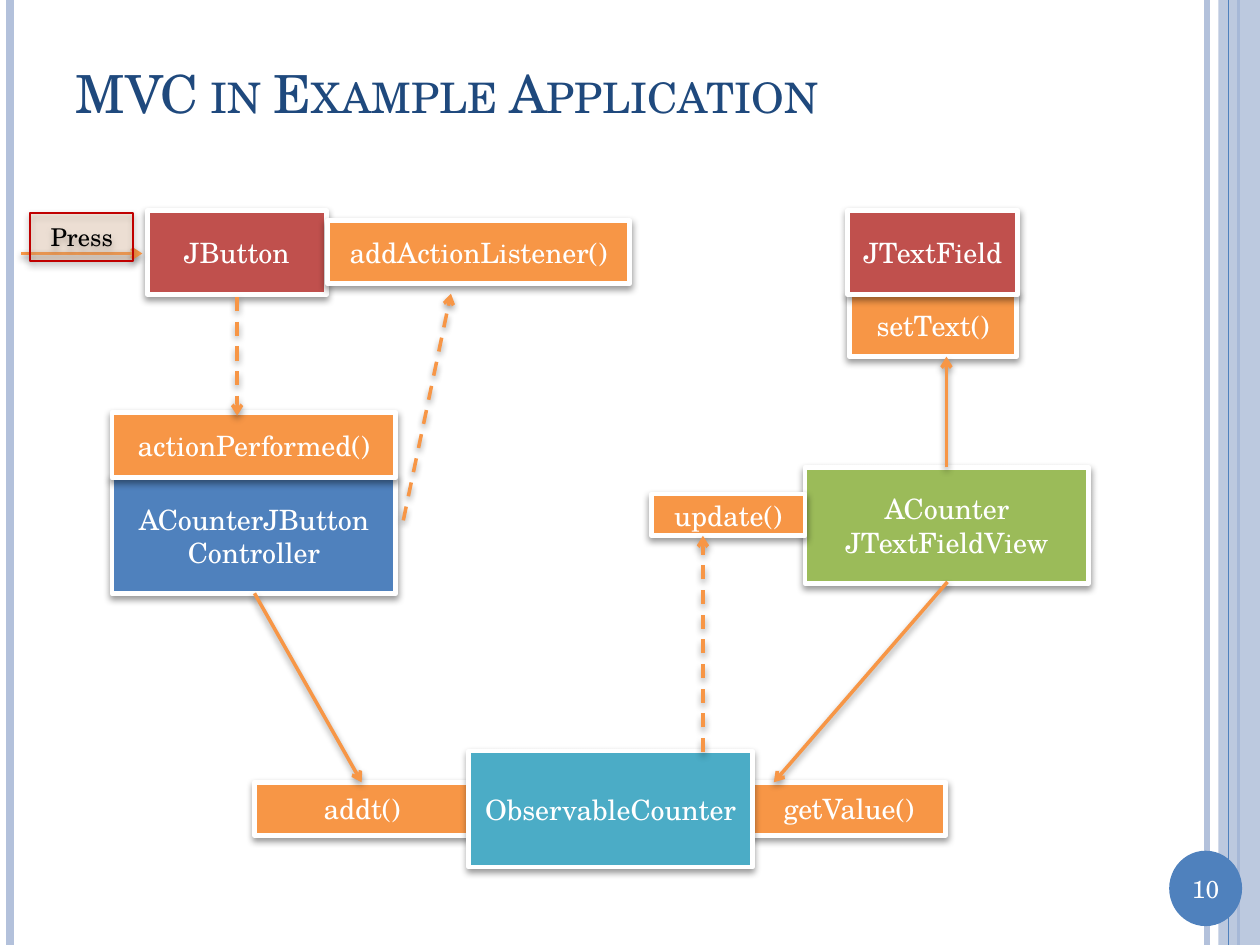
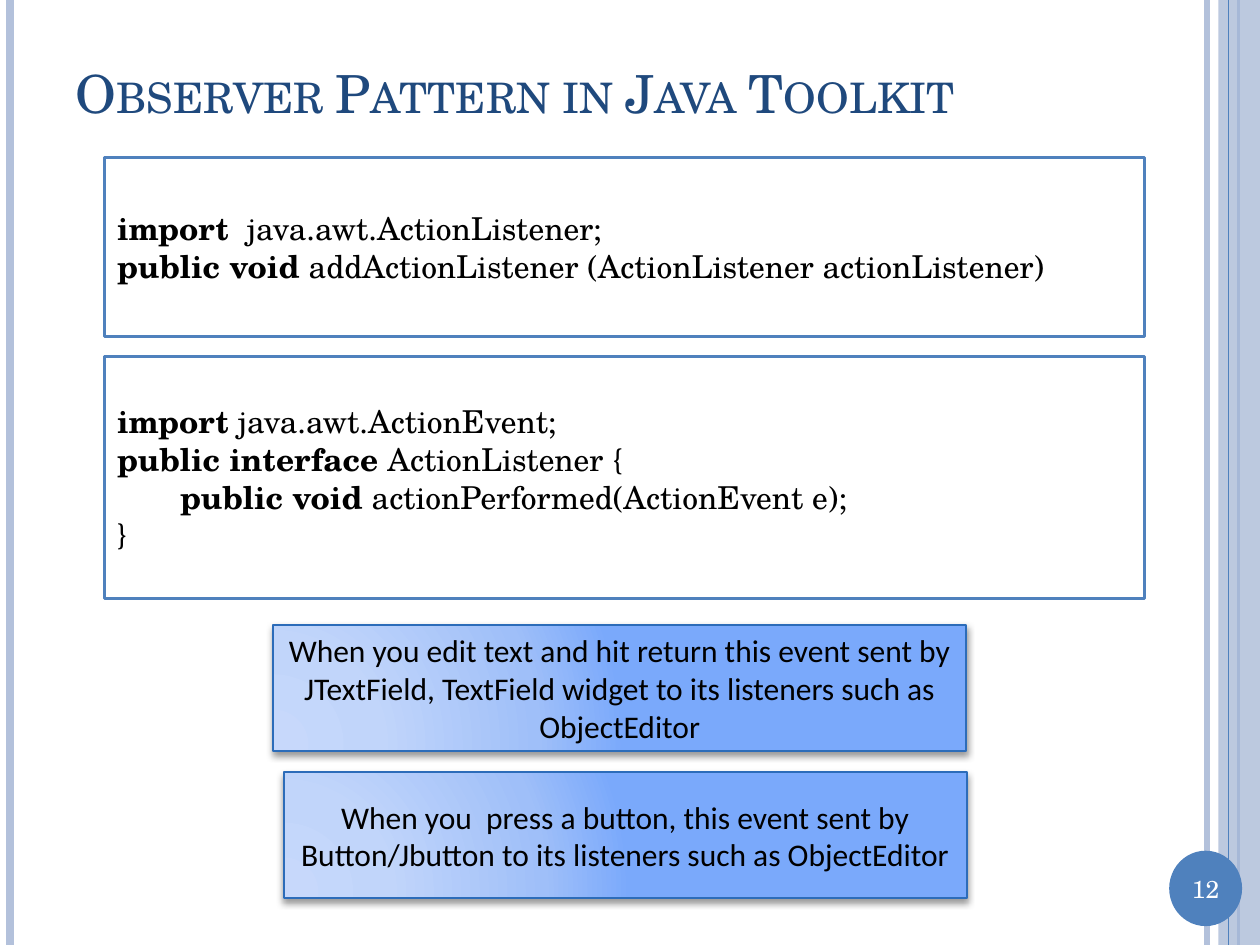
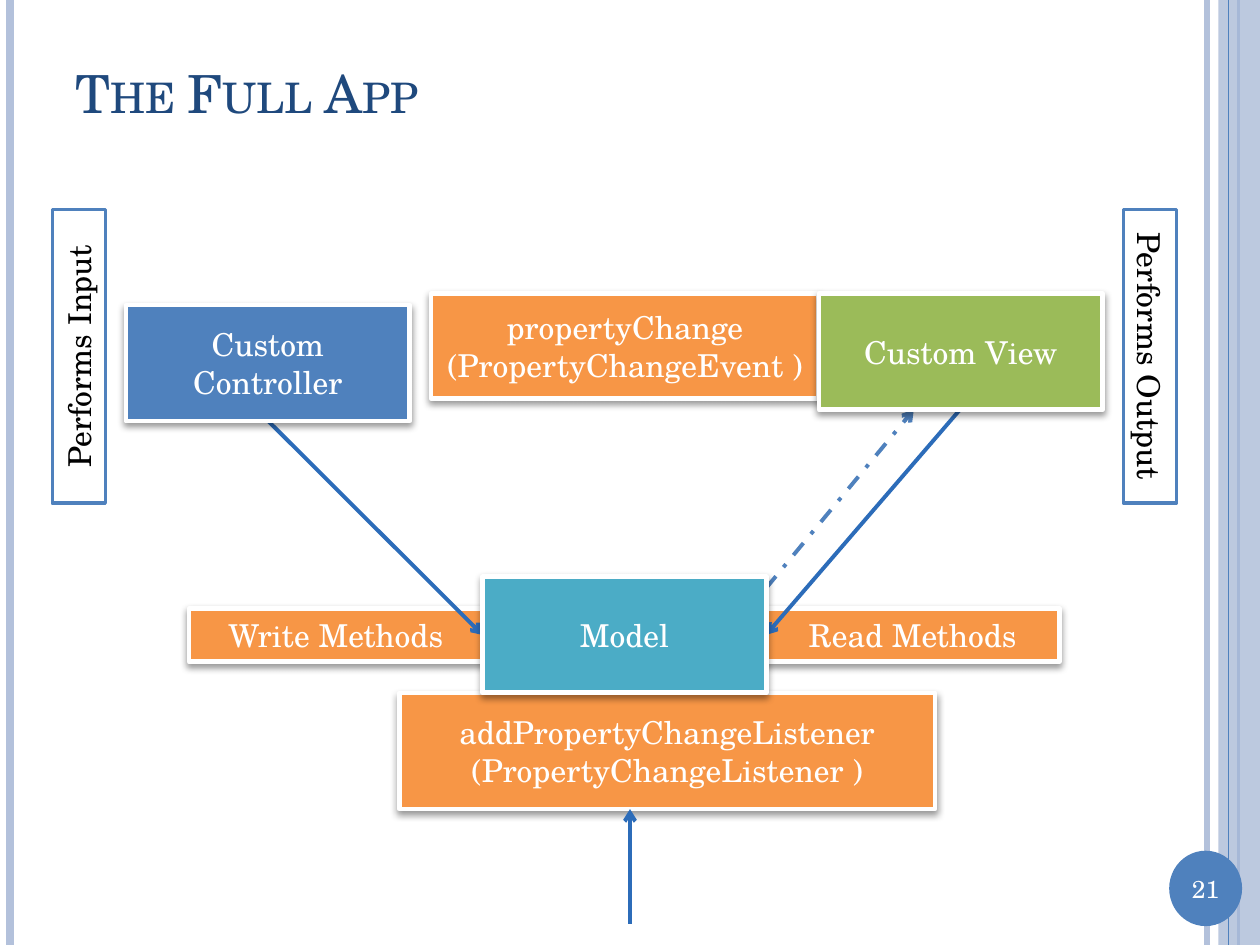
from pptx import Presentation
from pptx.dml.color import RGBColor
from pptx.enum.dml import MSO_LINE as Dash
from pptx.enum.shapes import MSO_CONNECTOR as Link, MSO_SHAPE as Kind
from pptx.enum.text import MSO_ANCHOR as Anchor, MSO_AUTO_SIZE as Fit, PP_ALIGN as Align
from pptx.oxml import parse_xml
from pptx.oxml.ns import nsdecls, qn
from pptx.util import Cm, Pt
from lxml.etree import SubElement

hue = RGBColor.from_string

# Colours
BLUE, NAVY, PALE, DEEP = "4F81BD", "1F497D", "B3C1DB", "2C6CB9"
ORANGE, RED, GREEN, TEAL = "F79646", "C0504D", "9BBB59", "4BACC6"
WHITE, BLACK = "FFFFFF", "000000"

# Effects and the gradient of the notes
NS = nsdecls("a")
FLAT = f"<a:effectLst {NS}/>"
CAST = (f'<a:effectLst {NS}><a:outerShdw blurRad="50800" dist="25400" dir="5400000" rotWithShape="0">'
        '<a:srgbClr val="000000"><a:alpha val="40000"/></a:srgbClr></a:outerShdw></a:effectLst>')
STOPS = [(0, "C7D8FB"), (30, "C1D5FA"), (75, "9FBFF9"), (100, "7AA9FB")]
GRAD = (f'<a:gradFill {NS} rotWithShape="1"><a:gsLst>'
        + "".join(f'<a:gs pos="{pos}000"><a:srgbClr val="{tint}"/></a:gs>' for pos, tint in STOPS)
        + '</a:gsLst><a:path path="circle"><a:fillToRect l="5000" t="100000" r="120000" b="10000"/>'
        '</a:path></a:gradFill>')

# Looks
FACE = "TeX Gyre Schola"
TITLE = dict(font=dict(name=FACE, size=Pt(30)), ink=NAVY, align=Align.LEFT, cap="small")
COUNT = dict(font=dict(name=FACE, size=Pt(14)), ink=WHITE)
SMALL = dict(font=dict(name=FACE, size=Pt(16)), ink=WHITE, edge=WHITE, width=2.75, cast=True)
LARGE = {**SMALL, "font": dict(name=FACE, size=Pt(18))}
PRESS = dict(font=dict(name=FACE, size=Pt(14)), ink=BLACK, fill="FAC090", alpha=23,
             edge="C00000", width=1, cast=True)
FRAME = dict(font=dict(name=FACE, size=Pt(18)), ink=BLACK, fill=WHITE, edge=BLUE, width=2)
CODE = {**FRAME, "align": Align.LEFT}
NOTE = dict(font=dict(name="Calibri", size=Pt(18)), ink=BLACK, fill="grad", edge=DEEP,
            width=1, cast=True, inset=0.13)


def dress(shape, at, lines, look):
    """Place a shape, paint it and write its lines, each a (bold, plain) pair."""
    for key, val in zip(("left", "top", "width", "height"), at):
        setattr(shape, key, Cm(val))
    props = shape.element.spPr
    if "fill" in look:
        if look["fill"] == "grad":
            props.insert(2, parse_xml(GRAD))
        else:
            shape.fill.solid()
            shape.fill.fore_color.rgb = hue(look["fill"])
        if "alpha" in look:
            tint = props.find(qn("a:solidFill"))[0]
            SubElement(tint, qn("a:alpha")).set("val", f"{look['alpha']}000")
        if "edge" in look:
            shape.line.color.rgb = hue(look["edge"])
            shape.line.width = Pt(look["width"])
        else:
            shape.line.fill.background()
        props.append(parse_xml(CAST if look.get("cast") else FLAT))
    if not lines:
        return
    frame = shape.text_frame
    form = dict(word_wrap=True, auto_size=Fit.NONE, vertical_anchor=Anchor.MIDDLE)
    if "inset" in look:
        for side in ("left", "top", "right", "bottom"):
            form[f"margin_{side}"] = Cm(look["inset"])
    for key, val in form.items():
        setattr(frame, key, val)
    for row, line in enumerate(lines):
        para = frame.paragraphs[0] if row == 0 else frame.add_paragraph()
        para.alignment = look.get("align", Align.CENTER)
        for part, bold in zip(line, (True, False)):
            if part:
                run = para.add_run()
                run.text = part
                for key, val in {**look["font"], "bold": bold}.items():
                    setattr(run.font, key, val)
                run.font.color.rgb = hue(look["ink"])
                if "cap" in look:
                    run.font._element.set("cap", look["cap"])


def draw(page, ends, tint, width, dash=None, head=True, cast=False):
    """Draw a line, with an arrowhead at its far end unless head is False."""
    line = page.shapes.add_connector(Link.STRAIGHT, *map(Cm, ends))
    line.line.color.rgb = hue(tint)
    line.line.width = Pt(width)
    if dash:
        line.line.dash_style = dash
    props = line.element.spPr
    if head:
        SubElement(props.find(qn("a:ln")), qn("a:tailEnd")).set("type", "arrow")
    props.append(parse_xml(CAST if cast else FLAT))
    return line


deck = Presentation()
deck.slide_width, deck.slide_height = Cm(25.4), Cm(19.05)
base = deck.slide_layouts[5]
for slot in list(base.placeholders):
    if slot.placeholder_format.idx >= 10:
        slot.element.getparent().remove(slot.element)

# Titles and page numbers
pages = []
for name, num in [("MVC in Example Application", "10"),
                  ("Observer Pattern in Java Toolkit", "12"),
                  ("The Full App", "21")]:
    page = deck.slides.add_slide(base)
    dress(page.shapes.title, (1.27, 0.76, 22.02, 2.21), [("", name)], TITLE)
    pages.append((page, num))
(first, _), (second, _), (third, _) = pages

# Side bands and number disc, moved to the shared layout
bands = []
for x, tint, width in [(24.33, PALE, 3), (0.2, PALE, 4.5), (24.97, BLUE, 1.5)]:
    bands.append(draw(first, (x, 0, x, 19.05), tint, width, head=False))
strip = first.shapes.add_shape(Kind.RECTANGLE, 0, 0, 0, 0)
dress(strip, (24.56, 0, 0.84, 19.05), [], dict(fill=PALE, alpha=87))
rule = draw(first, (24.77, 0, 24.77, 19.05), BLUE, 0.75, head=False)
disc = first.shapes.add_shape(Kind.OVAL, 0, 0, 0, 0)
dress(disc, (23.57, 17.15, 1.47, 1.52), [], dict(fill=BLUE))
for part in [*bands, strip, rule, disc]:
    base.shapes.element.append(part.element)
for page, num in pages:
    dress(page.shapes.add_textbox(0, 0, 0, 0), (23.57, 17.48, 1.47, 0.86), [("", num)], COUNT)

# Slide 1: classes and their methods
for text, tint, at in [
    ("getValue()", ORANGE, (15.16, 15.77, 3.91, 1.07)),
    ("addt()", ORANGE, (5.13, 15.77, 4.34, 1.07)),
    ("ObservableCounter", TEAL, (9.45, 15.14, 5.72, 2.34)),
    ("ACounter JTextFieldView", GREEN, (16.23, 9.42, 5.72, 2.34)),
    ("ACounterJButton Controller", BLUE, (2.26, 9.63, 5.72, 2.34)),
    ("update()", ORANGE, (13.13, 9.96, 3.1, 0.84)),
    ("actionPerformed()", ORANGE, (2.26, 8.31, 5.72, 1.32)),
    ("JButton", RED, (2.97, 4.24, 3.61, 1.7)),
    ("setText()", ORANGE, (17.12, 5.92, 3.38, 1.27)),
    ("JTextField", RED, (17.09, 4.24, 3.43, 1.7)),
    ("addActionListener()", ORANGE, (6.6, 4.45, 6.1, 1.27)),
]:
    box = first.shapes.add_shape(Kind.RECTANGLE, 0, 0, 0, 0)
    dress(box, at, [("", text)], {**SMALL, "fill": tint})

# Slide 1: calls are solid, notifications dashed
for ends, dash in [
    ((19.1, 11.73, 15.6, 15.77), None),
    ((5.13, 11.96, 7.29, 15.77), None),
    ((14.17, 15.16, 14.17, 10.8), Dash.DASH),
    ((4.78, 5.99, 4.78, 8.38), Dash.DASH),
    ((19.08, 9.42, 19.08, 7.19), None),
    ((8.13, 10.49, 9.09, 5.92), Dash.DASH),
    ((0.43, 5.11, 2.87, 5.11), None),
]:
    draw(first, ends, ORANGE, 2, dash, cast=True)
press = first.shapes.add_shape(Kind.RECTANGLE, 0, 0, 0, 0)
dress(press, (0.61, 4.29, 2.08, 0.97), [("", "Press")], PRESS)

# Slide 2: code and notes
for at, look, lines in [
    ((2.11, 3.18, 20.96, 3.61), CODE, [
        ("import  ", "java.awt.ActionListener;"),
        ("public void ", "addActionListener (ActionListener actionListener)")]),
    ((2.11, 7.19, 20.96, 4.88), CODE, [
        ("import ", "java.awt.ActionEvent;"),
        ("public interface ", "ActionListener {"),
        ("\tpublic void ", "actionPerformed(ActionEvent e);"),
        ("", "}")]),
    ((5.51, 12.6, 13.97, 2.54), NOTE, [
        ("", "When you edit text and hit return this event sent by JTextField, "
             "TextField widget to its listeners such as ObjectEditor")]),
    ((5.72, 15.57, 13.77, 2.54), NOTE, [
        ("", "When you  press a button, this event sent by "
             "Button/Jbutton to its listeners such as ObjectEditor")]),
]:
    dress(second.shapes.add_shape(Kind.RECTANGLE, 0, 0, 0, 0), at, lines, look)

# Slide 3: side labels
for text, x, turn in [("Performs Input", -1.37, 270), ("Performs Output", 20.22, 90)]:
    label = third.shapes.add_shape(Kind.RECTANGLE, 0, 0, 0, 0)
    dress(label, (x, 6.65, 5.92, 1.07), [("", text)], FRAME)
    label.rotation = turn

# Slide 3: arrows
for ends, tint, dash in [
    ((19.35, 8.26, 15.44, 12.8), DEEP, None),
    ((5.38, 8.46, 9.73, 12.8), DEEP, None),
    ((15.44, 11.86, 18.42, 8.26), BLUE, Dash.DASH_DOT),
    ((12.7, 18.62, 12.7, 16.31), DEEP, None),
]:
    draw(third, ends, tint, 2.25, dash)

# Slide 3: methods, sent behind the arrows, then the three parts in front
heads = [item.element for item in third.shapes if item.element.tag == qn("p:cxnSp")]
for text, tint, at in [
    ("Read Methods", ORANGE, (15.44, 12.27, 5.92, 1.07)),
    ("Write Methods", ORANGE, (3.81, 12.27, 5.92, 1.07)),
    ("propertyChange (PropertyChangeEvent )", ORANGE, (8.69, 5.92, 7.82, 2.11)),
    ("addPropertyChangeListener (PropertyChangeListener )", ORANGE, (8.05, 13.97, 10.8, 2.34)),
    ("Model", TEAL, (9.73, 11.63, 5.72, 2.34)),
    ("Custom View", GREEN, (16.51, 5.92, 5.72, 2.34)),
    ("Custom Controller", BLUE, (2.54, 6.15, 5.72, 2.34)),
]:
    box = third.shapes.add_shape(Kind.RECTANGLE, 0, 0, 0, 0)
    dress(box, at, [("", text)], {**LARGE, "fill": tint})
    if tint == ORANGE:
        heads[0].addprevious(box.element)

deck.save("out.pptx")
